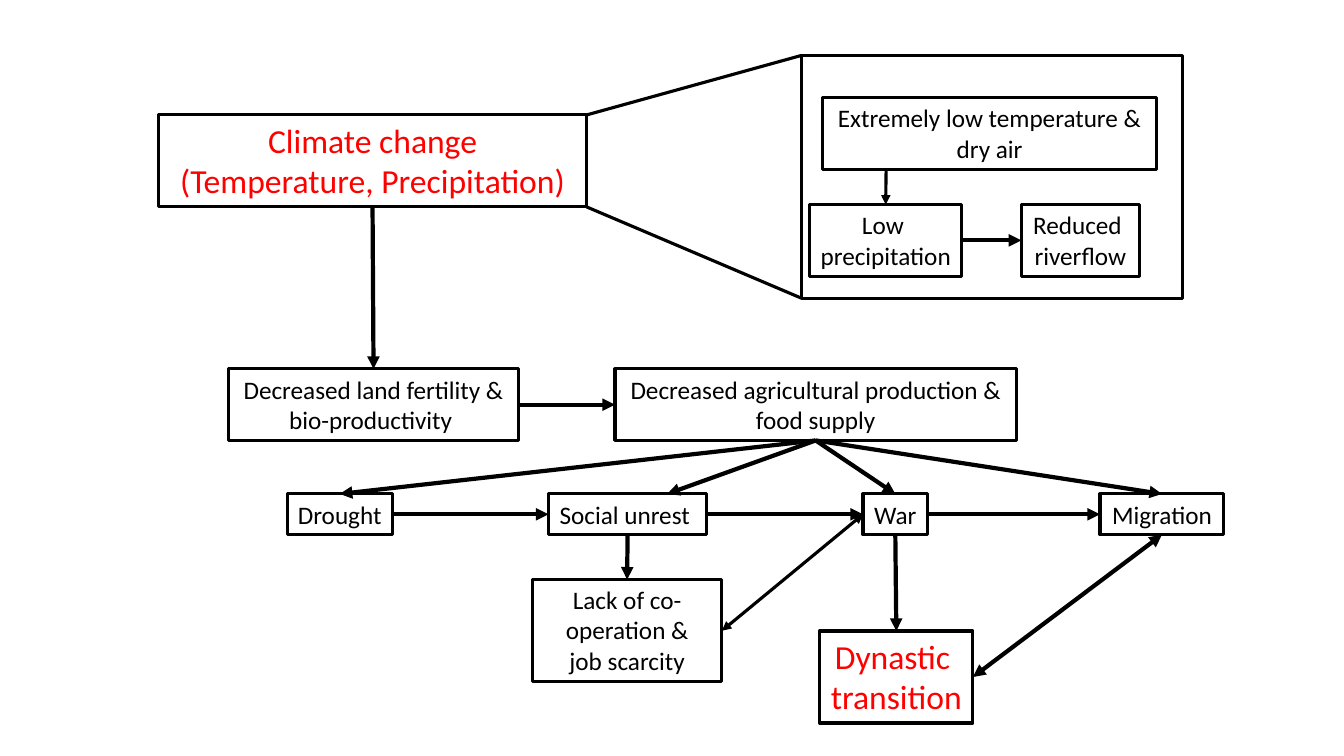
from typing import NamedTuple

from lxml.etree import SubElement
from pptx import Presentation
from pptx.dml.color import RGBColor
from pptx.enum.shapes import MSO_CONNECTOR, MSO_SHAPE
from pptx.enum.text import MSO_ANCHOR, MSO_AUTO_SIZE, PP_ALIGN
from pptx.oxml.ns import qn
from pptx.util import Inches, Pt

COLORS = {"ink": "000000", "key": "FF0000"}
SLIDE_WIDTH, SLIDE_HEIGHT = Inches(13.33), Inches(7.5)
COLUMN, ROW = SLIDE_WIDTH / 133.3, SLIDE_HEIGHT / 75
LINE_SPACING = 1.22
THIN, THICK = 2.25, 3
TOP_ROW, MIDDLE_ROW, EVENT_ROW = 20.3, 36.6, 49

TOP, BOTTOM, LEFT, RIGHT = (0.5, 0), (0.5, 1), (0, 0.5), (1, 0.5)
TOP_LEFT, BOTTOM_LEFT, TOP_RIGHT, BOTTOM_RIGHT = (0, 0), (0, 1), (1, 0), (1, 1)


class Box(NamedTuple):
    column: float
    row: float
    columns: float
    text: tuple[str, ...] = ()
    size: int = 18
    color: str = "ink"
    wrap: bool = False
    lines: int = 2

    @property
    def rows(self) -> float:
        return 1 + self.lines * self.size * LINE_SPACING / 7.2

    def point(self, share: tuple[float, float]) -> tuple[int, int]:
        return (round((self.column + share[0] * self.columns) * COLUMN),
                round((self.row + share[1] * self.rows) * ROW))


class Link(NamedTuple):
    start: str
    start_share: tuple[float, float]
    end: str
    end_share: tuple[float, float]
    width: float = THICK
    arrows: tuple[str, ...] = ("tailEnd",)


BOTH = ("headEnd", "tailEnd")

BOXES = {
    "panel": Box(79.5, 5.5, 37.8, lines=7.57),
    "climate": Box(15.7, 11.4, 42.5, ("Climate change", "(Temperature, Precipitation)"),
                   24, "key", True),
    "cold": Box(81.6, 9.7, 33.1, ("Extremely low temperature &", "dry air")),
    "dry": Box(80.3, TOP_ROW, 15.1, ("Low ", "precipitation")),
    "river": Box(101.3, TOP_ROW, 11.7, ("Reduced ", "riverflow")),
    "land": Box(22.7, MIDDLE_ROW, 28.7, ("Decreased land fertility &", "bio-productivity ")),
    "food": Box(61, MIDDLE_ROW, 39.8, ("Decreased agricultural production &", "food supply")),
    "drought": Box(28.5, EVENT_ROW, 10.4, ("Drought",), lines=1),
    "unrest": Box(54.4, EVENT_ROW, 15.7, ("Social unrest ",), lines=1),
    "war": Box(85.6, EVENT_ROW, 6.4, ("War",), lines=1),
    "migration": Box(109.1, EVENT_ROW, 12.3, ("Migration",), lines=1),
    "scarcity": Box(52.8, 57.5, 18.8, ("Lack of co-operation &", "job scarcity"),
                    wrap=True, lines=3),
    "dynasty": Box(81.3, 62.6, 15.2, ("Dynastic ", "transition"), 24, "key"),
}

LINKS = [
    Link("climate", TOP_RIGHT, "panel", TOP_LEFT, THIN, ()),
    Link("climate", BOTTOM_RIGHT, "panel", BOTTOM_LEFT, THIN, ()),
    Link("cold", (0.19, 1), "dry", TOP, THIN),
    Link("dry", RIGHT, "river", LEFT),
    Link("climate", BOTTOM, "land", TOP),
    Link("land", RIGHT, "food", LEFT),
    Link("food", BOTTOM, "drought", TOP),
    Link("food", BOTTOM, "unrest", (0.75, 0)),
    Link("food", BOTTOM, "war", TOP),
    Link("food", BOTTOM, "migration", TOP),
    Link("drought", RIGHT, "unrest", LEFT),
    Link("unrest", RIGHT, "war", LEFT),
    Link("war", RIGHT, "migration", LEFT),
    Link("unrest", BOTTOM, "scarcity", TOP),
    Link("war", BOTTOM, "dynasty", TOP),
    Link("migration", BOTTOM, "dynasty", RIGHT, THICK, BOTH),
    Link("scarcity", RIGHT, "war", LEFT, THIN, BOTH),
]


def apply_format(target: object, values: dict) -> None:
    for name, value in values.items():
        setattr(target, name, value)


def draw_box(shapes, box: Box) -> None:
    left, top = box.point(TOP_LEFT)
    right, bottom = box.point(BOTTOM_RIGHT)
    shape = shapes.add_shape(MSO_SHAPE.RECTANGLE, left, top, right - left, bottom - top)
    shape.shadow.inherit = False
    shape.fill.background()
    shape.line.color.rgb = RGBColor.from_string(COLORS["ink"])
    shape.line.width = Pt(THIN)
    frame = shape.text_frame
    apply_format(frame, {"word_wrap": box.wrap, "auto_size": MSO_AUTO_SIZE.NONE,
                         "vertical_anchor": MSO_ANCHOR.TOP})
    for index, text in enumerate(box.text):
        paragraph = frame.add_paragraph() if index else frame.paragraphs[0]
        paragraph.alignment = PP_ALIGN.CENTER
        run = paragraph.add_run()
        run.text = text
        apply_format(run.font, {"name": "Calibri", "size": Pt(box.size)})
        run.font.color.rgb = RGBColor.from_string(COLORS[box.color])


def draw_link(shapes, link: Link) -> None:
    start = BOXES[link.start].point(link.start_share)
    end = BOXES[link.end].point(link.end_share)
    connector = shapes.add_connector(MSO_CONNECTOR.STRAIGHT, *start, *end)
    connector.line.color.rgb = RGBColor.from_string(COLORS["ink"])
    connector.line.width = Pt(link.width)
    properties = connector.line._get_or_add_ln()
    for arrow in link.arrows:
        SubElement(properties, qn(f"a:{arrow}"), type="triangle")
    SubElement(connector._element.spPr, qn("a:effectLst"))


def main() -> None:
    presentation = Presentation()
    apply_format(presentation, {"slide_width": SLIDE_WIDTH, "slide_height": SLIDE_HEIGHT})
    slide = presentation.slides.add_slide(presentation.slide_layouts[6])
    for box in BOXES.values():
        draw_box(slide.shapes, box)
    for link in LINKS:
        draw_link(slide.shapes, link)
    presentation.save("out.pptx")


main()
